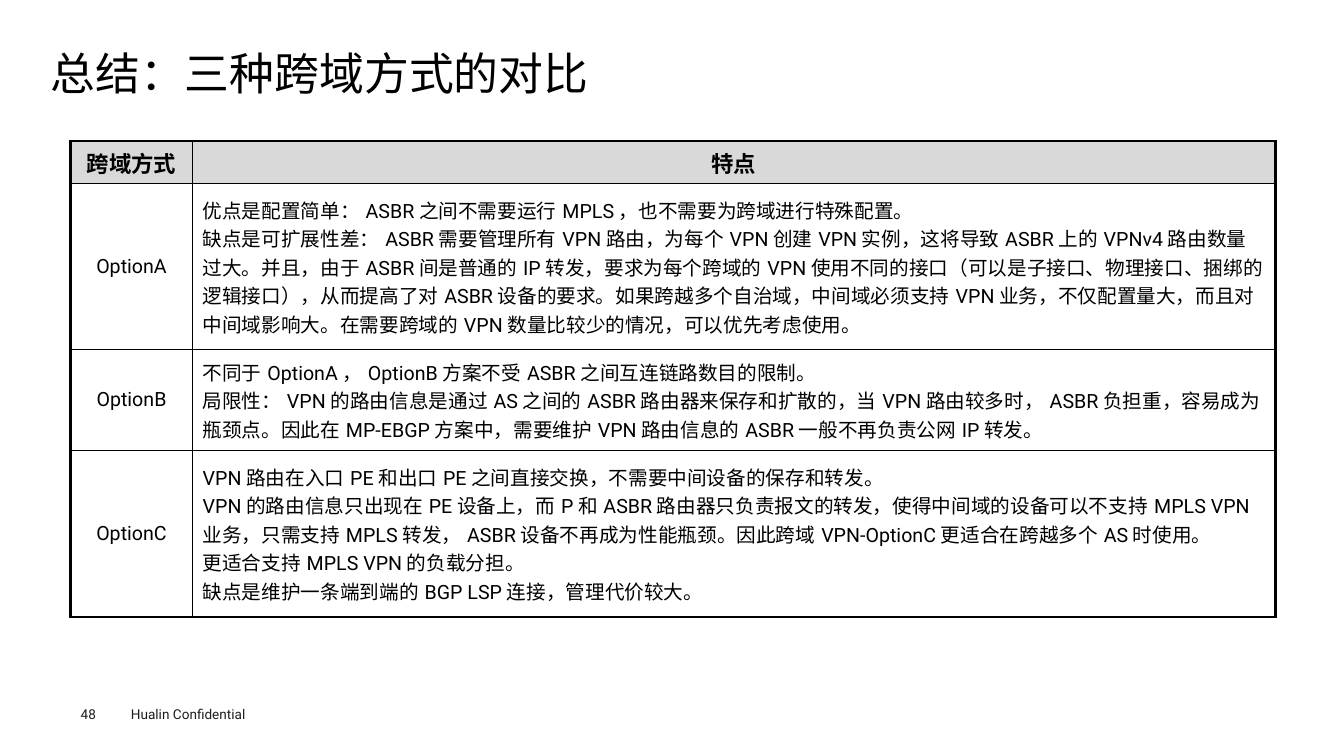
from lxml.etree import SubElement
from pptx import Presentation
from pptx.dml.color import RGBColor
from pptx.enum.text import MSO_ANCHOR as Anchor, PP_ALIGN as Align
from pptx.oxml.ns import qn
from pptx.util import Inches, Pt

FONT = "Roboto"
BLACK, GREY, WHITE, FOOTER = "000000", "D9D9D9", "FFFFFF", "1D1D1B"
THICK, THIN = 2.25, 1

HEADER = ("跨域方式", ["特点"])
OPTIONS = [
    ("OptionA", [
        "优点是配置简单：ASBR之间不需要运行MPLS，也不需要为跨域进行特殊配置。",
        "缺点是可扩展性差：ASBR需要管理所有VPN路由，为每个VPN创建VPN实例，"
        "这将导致ASBR上的VPNv4路由数量过大。并且，由于ASBR间是普通的IP转发，"
        "要求为每个跨域的VPN使用不同的接口（可以是子接口、物理接口、捆绑的逻辑接口），"
        "从而提高了对ASBR设备的要求。如果跨越多个自治域，中间域必须支持VPN业务，"
        "不仅配置量大，而且对中间域影响大。在需要跨域的VPN数量比较少的情况，可以优先考虑使用。",
    ]),
    ("OptionB", [
        "不同于OptionA，OptionB方案不受ASBR之间互连链路数目的限制。",
        "局限性：VPN的路由信息是通过AS之间的ASBR路由器来保存和扩散的，"
        "当VPN路由较多时，ASBR负担重，容易成为瓶颈点。因此在MP-EBGP方案中，"
        "需要维护VPN路由信息的ASBR一般不再负责公网IP转发。",
    ]),
    ("OptionC", [
        "VPN路由在入口PE和出口PE之间直接交换，不需要中间设备的保存和转发。",
        "VPN的路由信息只出现在PE设备上，而P和ASBR路由器只负责报文的转发，"
        "使得中间域的设备可以不支持MPLS VPN业务，只需支持MPLS转发，"
        "ASBR设备不再成为性能瓶颈。因此跨域VPN-OptionC更适合在跨越多个AS时使用。",
        "更适合支持MPLS VPN的负载分担。",
        "缺点是维护一条端到端的BGP LSP连接，管理代价较大。",
    ]),
]


def color(hex_code):
    return RGBColor.from_string(hex_code)


class SlideBuilder:
    def __init__(self, prs):
        self.slide = prs.slides.add_slide(prs.slide_layouts[5])

    def set_text(self, frame, lines, size, ink=BLACK, bold=False, align=Align.LEFT):
        frame.text = "\n".join(lines)
        frame.word_wrap = True
        for paragraph in frame.paragraphs:
            paragraph.alignment = align
            for run in paragraph.runs:
                run.font.name = FONT
                run.font.size = Pt(size)
                run.font.bold = bold
                run.font.color.rgb = color(ink)

    def place(self, shape, left, top, width, height):
        shape.left, shape.top = Inches(left), Inches(top)
        shape.width, shape.height = Inches(width), Inches(height)

    def no_margins(self, frame):
        frame.margin_left = frame.margin_right = 0
        frame.margin_top = frame.margin_bottom = 0

    def title(self, text, *box):
        heading = self.slide.shapes.title
        self.place(heading, *box)
        frame = heading.text_frame
        self.set_text(frame, [text], 32)
        self.no_margins(frame)
        frame.vertical_anchor = Anchor.MIDDLE
        frame.paragraphs[0].line_spacing = 0.9

    def label(self, text, *box, margins=True):
        frame = self.slide.shapes.add_textbox(*map(Inches, box)).text_frame
        self.set_text(frame, [text], 9.7, FOOTER)
        if not margins:
            self.no_margins(frame)

    def border(self, cell, side, width):
        line = SubElement(cell._tc.get_or_add_tcPr(), qn(f"a:ln{side}"), w=str(Pt(width)))
        fill = SubElement(line, qn("a:solidFill"))
        SubElement(fill, qn("a:srgbClr"), val=BLACK)

    def table(self, rows, left, top, widths, heights):
        grid = self.slide.shapes.add_table(
            len(rows), len(widths), Inches(left), Inches(top),
            Inches(sum(widths)), Inches(sum(heights))).table
        for column, width in zip(grid.columns, widths):
            column.width = Inches(width)
        for row, height in zip(grid.rows, heights):
            row.height = Inches(height)
        last_row, last_col = len(rows) - 1, len(widths) - 1
        for r, (option, features) in enumerate(rows):
            for c, lines in enumerate(([option], features)):
                cell = grid.cell(r, c)
                header = r == 0
                centred = header or c == 0
                self.set_text(cell.text_frame, lines, 16 if header else 14, bold=header,
                              align=Align.CENTER if centred else Align.LEFT)
                cell.vertical_anchor = Anchor.MIDDLE
                # Thick lines on the outer frame, thin lines inside
                outer = {"L": c == 0, "R": c == last_col, "T": r == 0, "B": r == last_row}
                for side, on_frame in outer.items():
                    self.border(cell, side, THICK if on_frame else THIN)
                cell.fill.solid()
                cell.fill.fore_color.rgb = color(GREY if header else WHITE)


def main():
    prs = Presentation()
    prs.slide_width, prs.slide_height = Inches(13.33), Inches(7.5)
    page = SlideBuilder(prs)

    # Title
    page.title("总结：三种跨域方式的对比", 0.5, 0.49, 12.35, 0.53)

    # Comparison table
    page.table([HEADER, *OPTIONS], 0.7, 1.4, [1.21, 10.74], [0.35, 1.65, 1, 1.65])

    # Footer
    page.label("48", 0.8, 7, 0.55, 0.16, margins=False)
    page.label("Hualin Confidential", 1.2, 6.95, 1.6, 0.27)

    prs.save("out.pptx")


if __name__ == "__main__":
    main()
